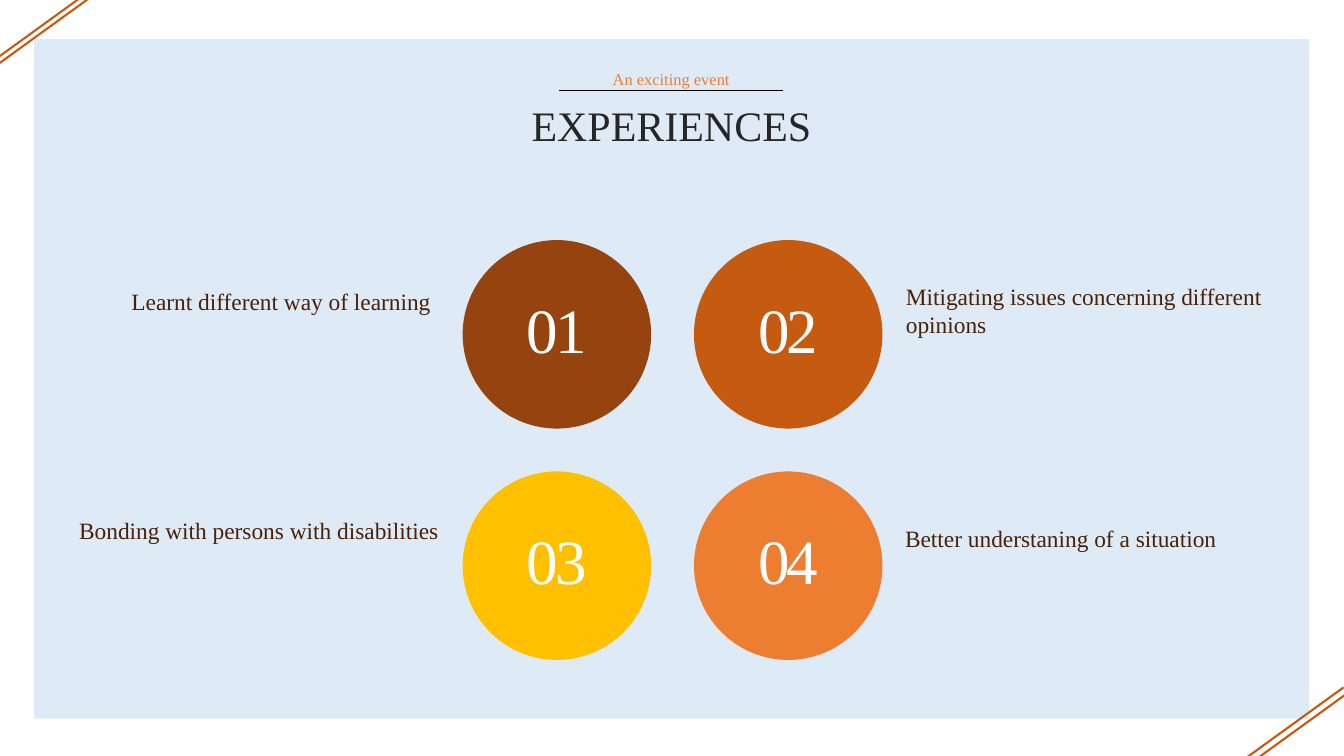
from lxml import etree
from pptx import Presentation
from pptx.dml.color import RGBColor
from pptx.enum.shapes import MSO_CONNECTOR, MSO_SHAPE
from pptx.enum.text import PP_ALIGN
from pptx.oxml.ns import qn
from pptx.util import Cm, Pt

LEFT, CENTER, RIGHT = PP_ALIGN.LEFT, PP_ALIGN.CENTER, PP_ALIGN.RIGHT
RECTANGLE, OVAL = MSO_SHAPE.RECTANGLE, MSO_SHAPE.OVAL
STRAIGHT = MSO_CONNECTOR.STRAIGHT

# Content: circle colour, label, label box (left, top, width, height in cm)
EXPERIENCES = [
    ("954410", "Learnt different way of learning", (1.3, 7.11, 9.8, 0.97)),
    ("C55A11", "Mitigating issues concerning different opinions", (22.58, 6.99, 9.68, 1.68)),
    ("FFC000", "Bonding with persons with disabilities", (1.5, 12.88, 9.8, 0.97)),
    ("ED7D31", "Better understaning of a situation", (22.56, 13.08, 10.95, 0.97)),
]
FONT = "Times New Roman"
LABEL_COLOR = "482108"
STRIPE_COLOR = "C55A11"

# Layout in cm
GRID_LEFT, GRID_TOP, GRID_STEP = 11.66, 6.05, 5.83
DIAMETER = 4.75
NUMBER_DROP, NUMBER_HEIGHT = 1.85, 1.55
STRIPE_STARTS = [(2.82, -0.46), (2.72, -0.56), (33.86, 17.32), (33.91, 17.5)]
STRIPE_RUN, STRIPE_FALL = -3.33, 2.41

deck = Presentation()
deck.slide_width, deck.slide_height = Cm(33.87), Cm(19.05)
page = deck.slides.add_slide(deck.slide_layouts[6])


def color(hex_code):
    return RGBColor.from_string(hex_code)


def add_block(kind, area, fill):
    block = page.shapes.add_shape(kind, *map(Cm, area))
    block.shadow.inherit = False
    block.fill.solid()
    block.fill.fore_color.rgb = color(fill)
    block.line.fill.background()


def add_text(text, area, size, ink, align, line_points=None, tracking=None):
    box = page.shapes.add_textbox(*map(Cm, area))
    box.text_frame.word_wrap = True
    box.text_frame.text = text
    para = box.text_frame.paragraphs[0]
    para.alignment = align
    if line_points:
        para.line_spacing = Pt(line_points)
    span = para.runs[0]
    span.font.name = FONT
    span.font.size = Pt(size)
    span.font.color.rgb = color(ink)
    if tracking:
        span.font._element.set("spc", str(tracking * 100))


def add_line(start, end, ink, weight):
    line = page.shapes.add_connector(STRAIGHT, *map(Cm, start + end))
    line.line.color.rgb = color(ink)
    line.line.width = Pt(weight)
    etree.SubElement(line._element.spPr, qn("a:effectLst"))


# Panel and heading
add_block(RECTANGLE, (0.86, 0.99, 32.13, 17.12), "DEEBF7")
add_text("EXPERIENCES", (4.72, 2.46, 24.41, 1.47), 30, "262626", CENTER, 34)
add_text("An exciting event", (13.51, 1.55, 6.81, 0.79), 11.7, "ED7D31", CENTER, 16)
add_line((14.08, 2.28), (19.73, 2.28), "000000", 0.5)

# Numbered circles, two by two, with labels on the outer sides
for index, (fill, label, label_area) in enumerate(EXPERIENCES):
    row, column = divmod(index, 2)
    left = GRID_LEFT + column * GRID_STEP
    top = GRID_TOP + row * GRID_STEP
    add_block(OVAL, (left, top, DIAMETER, DIAMETER), fill)
    add_text(f"{index + 1:02}", (left, top + NUMBER_DROP, DIAMETER, NUMBER_HEIGHT),
             45, "FFFFFF", CENTER, 34, -2)
    add_text(label, label_area, 16.7, LABEL_COLOR, LEFT if column else RIGHT)

# Corner stripes
for x, y in STRIPE_STARTS:
    add_line((x, y), (x + STRIPE_RUN, y + STRIPE_FALL), STRIPE_COLOR, 1.5)

deck.save("out.pptx")
